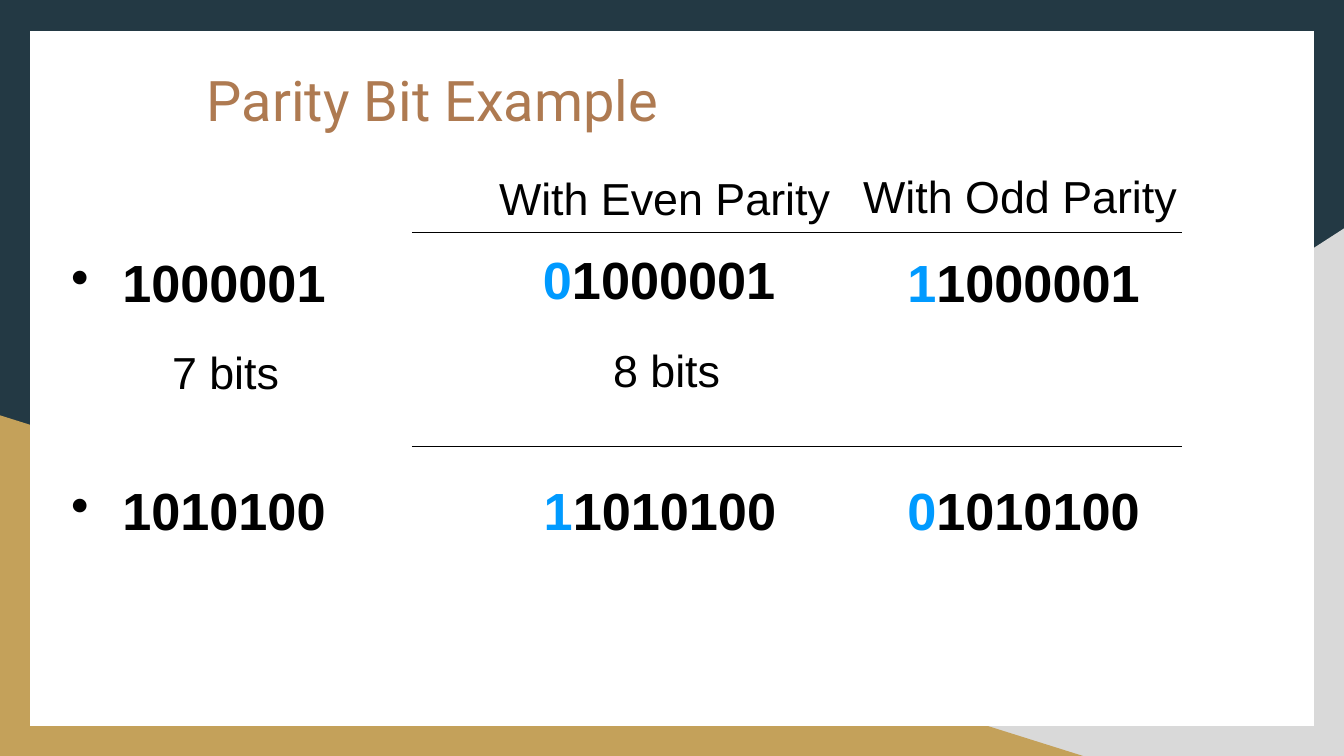
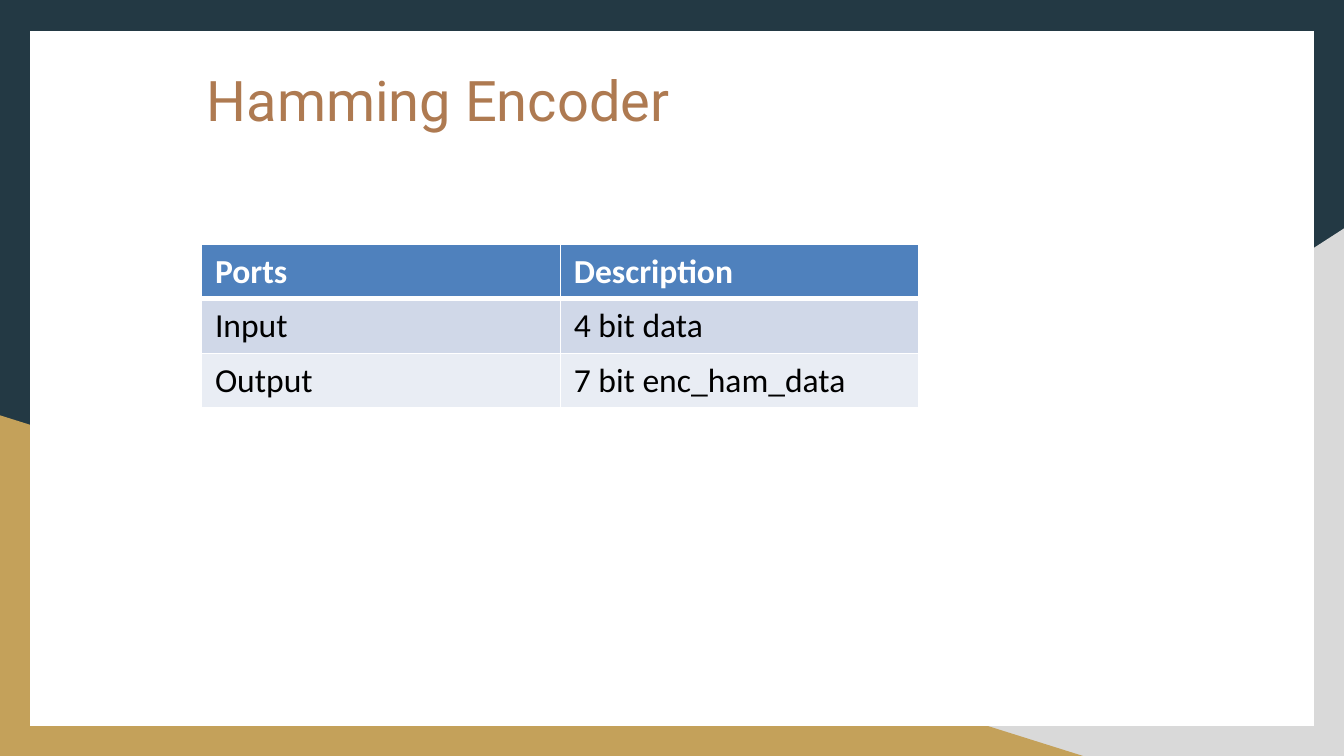
from lxml.etree import SubElement
from pptx import Presentation
from pptx.dml.color import RGBColor
from pptx.enum.text import MSO_ANCHOR as Anchor, MSO_AUTO_SIZE as AutoSize, PP_ALIGN as Align
from pptx.oxml.ns import qn
from pptx.util import Inches, Pt

WIDTH = 10
HEIGHT = WIDTH * 9 / 16
COLORS = {
    "navy": "233944", "gray": "D9D9D9", "gold": "C4A15A", "white": "FFFFFF",
    "title": "AE7A51", "black": "000000", "bullet": "010000", "parity": "009AFF",
    "header": "4F81BD", "band_dark": "D0D8E8", "band_light": "E9EDF4",
}
BACKDROP = [
    ("navy", [(0, 0), (WIDTH, 0), (WIDTH, HEIGHT), (0, HEIGHT)]),
    ("gray", [(WIDTH, HEIGHT), (3.92, HEIGHT), (WIDTH, 1.7)]),
    ("gold", [(8.06, HEIGHT), (0, HEIGHT), (0, 3.09)]),
    ("white", [(0.22, 0.23), (9.78, 0.23), (9.78, 5.4), (0.22, 5.4)]),
]


def rgb(name):
    return RGBColor.from_string(COLORS[name])


def add_span(para, text, font="Arial", size=28, color="black", bold=False):
    span = para.add_run()
    span.text = text
    span.font.name = font
    span.font.size = Pt(size)
    span.font.bold = bold
    span.font.color.rgb = rgb(color)


def add_para(frame, align=Align.LEFT, left=0, hang=0, before=0, line=None, bullet=False):
    para = frame.add_paragraph() if frame.text else frame.paragraphs[0]
    para.alignment = align
    para.space_before = Pt(before)
    if line:
        para.line_spacing = Pt(line)
    props = para._p.get_or_add_pPr()
    props.set("marL", str(Inches(left)))
    props.set("indent", str(Inches(-hang)))
    if bullet:
        bullet_color = SubElement(props, qn("a:buClr"))
        SubElement(bullet_color, qn("a:srgbClr"), val=COLORS["bullet"])
        SubElement(props, qn("a:buChar"), char="•")
    return para


def set_borders(cell, color, **widths):
    props = cell._tc.get_or_add_tcPr()
    for side in "LRTB":
        if side in widths:
            line = SubElement(props, qn(f"a:ln{side}"), w=str(Pt(widths[side])))
            fill = SubElement(line, qn("a:solidFill"))
            SubElement(fill, qn("a:srgbClr"), val=COLORS[color])


def add_table(page, left, top, widths, heights):
    frame = page.shapes.add_table(len(heights), len(widths), Inches(left), Inches(top),
                                  Inches(sum(widths)), Inches(sum(heights)))
    table = frame.table
    for column, width in zip(table.columns, widths):
        column.width = Inches(width)
    for row, height in zip(table.rows, heights):
        row.height = Inches(height)
    return table


def add_backdrop(page, master):
    for order, (color, points) in enumerate(BACKDROP):
        corners = [(Inches(x), Inches(y)) for x, y in points]
        builder = page.shapes.build_freeform(*corners[0])
        builder.add_line_segments(corners[1:], close=True)
        shape = builder.convert_to_shape()
        shape.shadow.inherit = False
        shape.fill.solid()
        shape.fill.fore_color.rgb = rgb(color)
        shape.line.fill.background()
        shape.element.nvSpPr.cNvPr.set("id", str(100 + order))
        master.shapes.element.insert(2 + order, shape.element)


def add_page(deck, title):
    page = deck.slides.add_slide(deck.slide_layouts[5])
    box = page.shapes.title
    box.left, box.top, box.width, box.height = map(Inches, (1.54, 0.49, 6.92, 0.5))
    frame = box.text_frame
    frame.margin_left = frame.margin_top = frame.margin_right = frame.margin_bottom = 0
    frame.vertical_anchor = Anchor.TOP
    frame.auto_size = AutoSize.SHAPE_TO_FIT_TEXT
    add_span(add_para(frame), title, font="Roboto", size=30, color="title")
    return page


def add_bits(cell, data, parity="", **layout):
    para = add_para(cell.text_frame, **layout)
    if parity:
        add_span(para, parity, color="parity", bold=True)
    add_span(para, data, bold=True)


def add_label(cell, text, **layout):
    add_span(add_para(cell.text_frame, **layout), text, size=24)


def add_parity_table(page):
    table = add_table(page, 0.5, 1.29, [2.57, 3.23, 2.49], [0.44, 1.59, 0.72])
    table.first_row = table.horz_banding = False
    top_margins = [(0, 0, 0), (0.17, 0.15, 0.17), (0.25, 0.25, 0.25)]
    rules = [{"B": 0.75}, {"T": 0.75, "B": 0.75}, {"T": 0.75}]
    for row, margins in enumerate(top_margins):
        for column, margin in enumerate(margins):
            cell = table.cell(row, column)
            cell.margin_left = cell.margin_right = cell.margin_bottom = 0
            cell.margin_top = Inches(margin)
            if column:
                set_borders(cell, "black", **rules[row])
            cell.fill.background()

    center = Align.CENTER
    bulleted = {"left": 0.41, "hang": 0.38, "bullet": True}
    last_row = {"before": 18.2, "line": 33}
    add_label(table.cell(0, 1), "With Even Parity", align=center, left=0.52, line=27.5)
    add_label(table.cell(0, 2), "With Odd Parity", align=center, left=0.09, line=26.6)
    add_bits(table.cell(1, 0), "1000001", before=12, **bulleted)
    add_label(table.cell(1, 0), "7 bits", left=0.78, before=19.2)
    add_bits(table.cell(1, 1), "1000001", "0", left=0.97, before=11.1)
    add_label(table.cell(1, 1), "8 bits", align=center, left=0.55, before=19.2)
    add_bits(table.cell(1, 2), "1000001", "1", align=center, left=0.14, before=12)
    add_bits(table.cell(2, 0), "1010100", **bulleted, **last_row)
    add_bits(table.cell(2, 1), "1010100", "1", align=center, left=0.45, **last_row)
    add_bits(table.cell(2, 2), "1010100", "0", align=center, left=0.14, **last_row)


def add_ports_table(page):
    rows = [
        ("header", "white", ("Ports", "Description")),
        ("band_dark", "black", ("Input", "4 bit data")),
        ("band_light", "black", ("Output", "7 bit enc_ham_data")),
    ]
    table = add_table(page, 1.5, 1.82, [2.67, 2.67], [0.4, 0.41, 0.4])
    for row, (fill, color, texts) in enumerate(rows):
        for column, text in enumerate(texts):
            cell = table.cell(row, column)
            set_borders(cell, "white", L=1, R=1, T=3 if row == 1 else 1, B=3 if row == 0 else 1)
            cell.fill.solid()
            cell.fill.fore_color.rgb = rgb(fill)
            add_span(add_para(cell.text_frame), text, font="Calibri", size=18,
                     color=color, bold=row == 0)


def main():
    deck = Presentation()
    deck.slide_width, deck.slide_height = Inches(WIDTH), Inches(HEIGHT)
    parity_page = add_page(deck, "Parity Bit Example")
    add_backdrop(parity_page, deck.slide_master)
    add_parity_table(parity_page)
    add_ports_table(add_page(deck, "Hamming Encoder"))
    deck.save("out.pptx")


if __name__ == "__main__":
    main()
